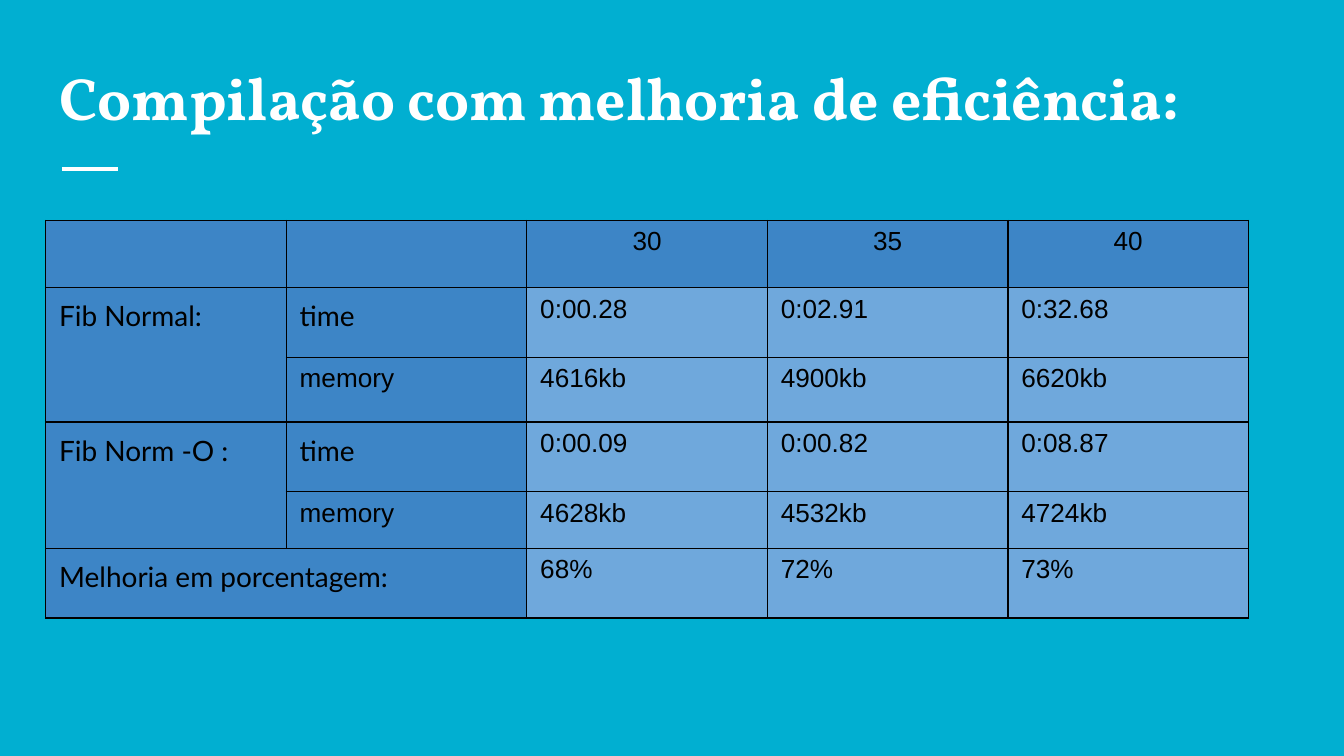
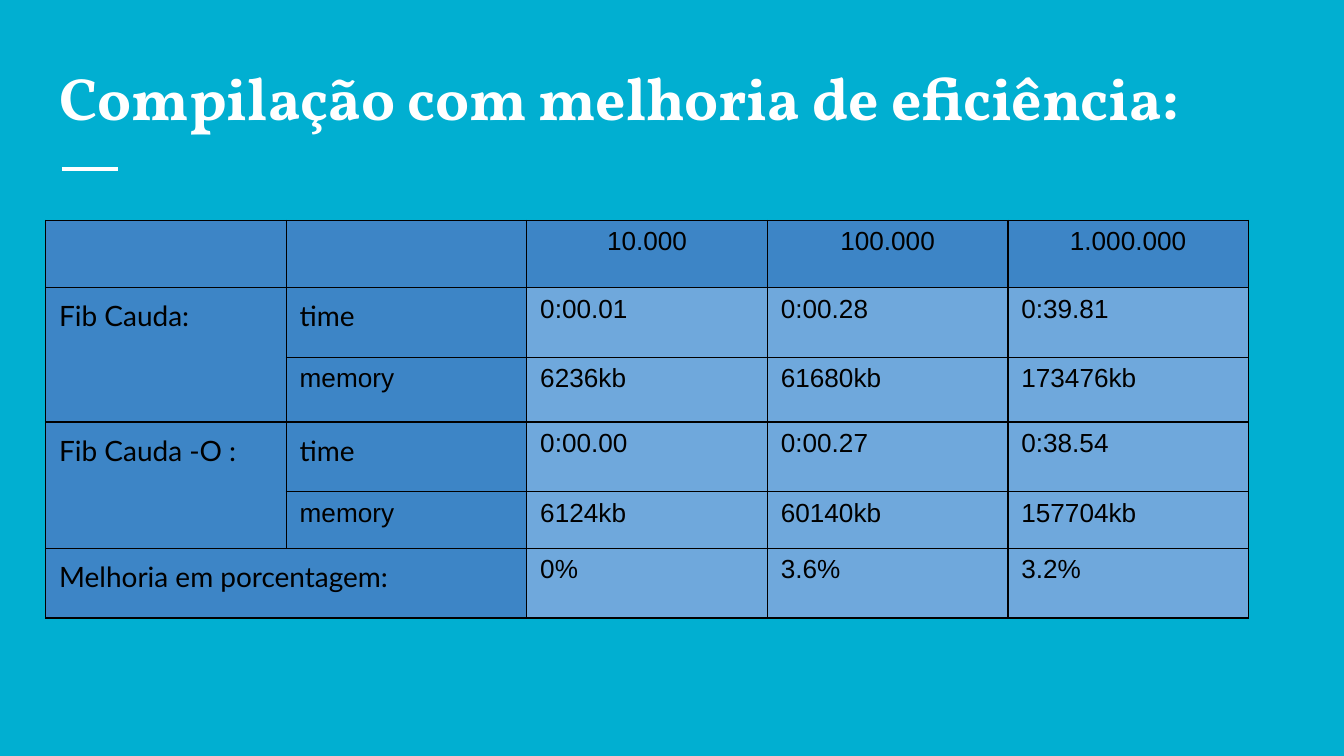
from dataclasses import dataclass

from lxml import etree
from pptx import Presentation
from pptx import util as u
from pptx.dml.color import RGBColor
from pptx.enum import shapes, text
from pptx.oxml import ns

# Shared look
WIDE = 10
HIGH = WIDE * 9 / 16
BACK, WHITE, BLACK = "01AFD1", "FFFFFF", "000000"
HEAD, BODY = "3D85C6", "6FA8DC"
TITLE = "Compilação com melhoria de eficiência:"
COL = 1.79
ROWS = (0.5, 0.52, 0.48, 0.52, 0.42, 0.52)
SPANS = (((1, 0), (2, 0)), ((3, 0), (4, 0)), ((5, 0), (5, 1)))


@dataclass(frozen=True)
class Style:
    font: str
    size: int
    color: str = BLACK
    bold: bool = False
    align: text.PP_ALIGN = text.PP_ALIGN.LEFT
    space: float = 1.0
    after: int = 0


LEAD = Style("Vollkorn", 32, WHITE, bold=True, space=0.9)
TOP = Style("Arial", 14, align=text.PP_ALIGN.CENTER)
LABEL = Style("Lato", 15, space=1.15, after=12)
VALUE = Style("Arial", 14)


@dataclass(frozen=True)
class Report:
    sizes: tuple[str, ...]
    base: str
    tuned: str
    values: tuple[tuple[str, ...], ...]

    def grid(self) -> list[tuple[str, ...]]:
        heads = (("", ""), (self.base, "time"), ("", "memory"),
                 (self.tuned, "time"), ("", "memory"),
                 ("Melhoria em porcentagem:", ""))
        return [h + v for h, v in zip(heads, (self.sizes,) + self.values)]


REPORTS = (
    Report(("30", "35", "40"), "Fib Normal:", "Fib Norm -O :", (
        ("0:00.28", "0:02.91", "0:32.68"),
        ("4616kb", "4900kb", "6620kb"),
        ("0:00.09", "0:00.82", "0:08.87"),
        ("4628kb", "4532kb", "4724kb"),
        ("68%", "72%", "73%"))),
    Report(("10.000", "100.000", "1.000.000"), "Fib Cauda:", "Fib Cauda -O :", (
        ("0:00.01", "0:00.28", "0:39.81"),
        ("6236kb", "61680kb", "173476kb"),
        ("0:00.00", "0:00.27", "0:38.54"),
        ("6124kb", "60140kb", "157704kb"),
        ("0%", "3.6%", "3.2%"))),
)


def paint(fill, color: str) -> None:
    fill.solid()
    fill.fore_color.rgb = RGBColor.from_string(color)


def write(frame, words: str, style: Style) -> None:
    para = frame.paragraphs[0]
    para.alignment = style.align
    para.line_spacing = style.space
    para.space_before, para.space_after = u.Pt(0), u.Pt(style.after)
    run = para.add_run()
    run.text = words
    font = run.font
    font.name, font.size, font.bold = style.font, u.Pt(style.size), style.bold
    font.color.rgb = RGBColor.from_string(style.color)


def edge(cell) -> None:
    props = cell._tc.get_or_add_tcPr()
    for side in ("lnL", "lnR", "lnT", "lnB"):
        line = etree.SubElement(props, ns.qn(f"a:{side}"), w=str(u.Pt(0.75)))
        solid = etree.SubElement(line, ns.qn("a:solidFill"))
        etree.SubElement(solid, ns.qn("a:srgbClr"), val=BLACK)


def add_title(slide) -> None:
    title = slide.shapes.title
    title.left, title.top = u.Inches(0.34), u.Inches(0.41)
    title.width, title.height = u.Inches(9.32), u.Inches(0.71)
    frame = title.text_frame
    frame.margin_left = frame.margin_right = u.Inches(0.1)
    frame.margin_top = frame.margin_bottom = u.Inches(0.1)
    frame.vertical_anchor = text.MSO_ANCHOR.TOP
    frame.auto_size = text.MSO_AUTO_SIZE.NONE
    frame.word_wrap = True
    write(frame, TITLE, LEAD)


def add_rule(slide) -> None:
    y = u.Inches(1.26)
    rule = slide.shapes.add_connector(
        shapes.MSO_CONNECTOR.STRAIGHT, u.Inches(0.46), y, u.Inches(0.88), y)
    paint(rule.line.fill, WHITE)
    rule.line.width = u.Pt(2.25)
    etree.SubElement(rule._element.spPr, ns.qn("a:effectLst"))


def pick(row: int, col: int, words: str) -> Style:
    if row == 0:
        return TOP
    return LABEL if col < 2 and words != "memory" else VALUE


def add_grid(slide, report: Report) -> None:
    grid = report.grid()
    count = len(grid[0])
    table = slide.shapes.add_table(
        len(grid), count, u.Inches(0.34), u.Inches(1.64),
        u.Inches(COL * count), u.Inches(sum(ROWS))).table
    table.first_row = table.horz_banding = False
    for col in table.columns:
        col.width = u.Inches(COL)
    for row, high in zip(table.rows, ROWS):
        row.height = u.Inches(high)
    # Cells
    for r, line in enumerate(grid):
        for c, words in enumerate(line):
            cell = table.cell(r, c)
            edge(cell)
            paint(cell.fill, HEAD if r == 0 or c < 2 else BODY)
            cell.margin_left = cell.margin_right = u.Inches(0.1)
            cell.margin_top = cell.margin_bottom = u.Inches(0.05)
            if words:
                write(cell.text_frame, words, pick(r, c, words))
    # Merged labels
    for first, last in SPANS:
        table.cell(*first).merge(table.cell(*last))


def main() -> None:
    deck = Presentation()
    deck.slide_width, deck.slide_height = u.Inches(WIDE), u.Inches(HIGH)
    paint(deck.slide_master.background.fill, BACK)
    for report in REPORTS:
        slide = deck.slides.add_slide(deck.slide_layouts.get_by_name("Title Only"))
        add_rule(slide)
        add_title(slide)
        add_grid(slide, report)
    deck.save("out.pptx")


if __name__ == "__main__":
    main()
